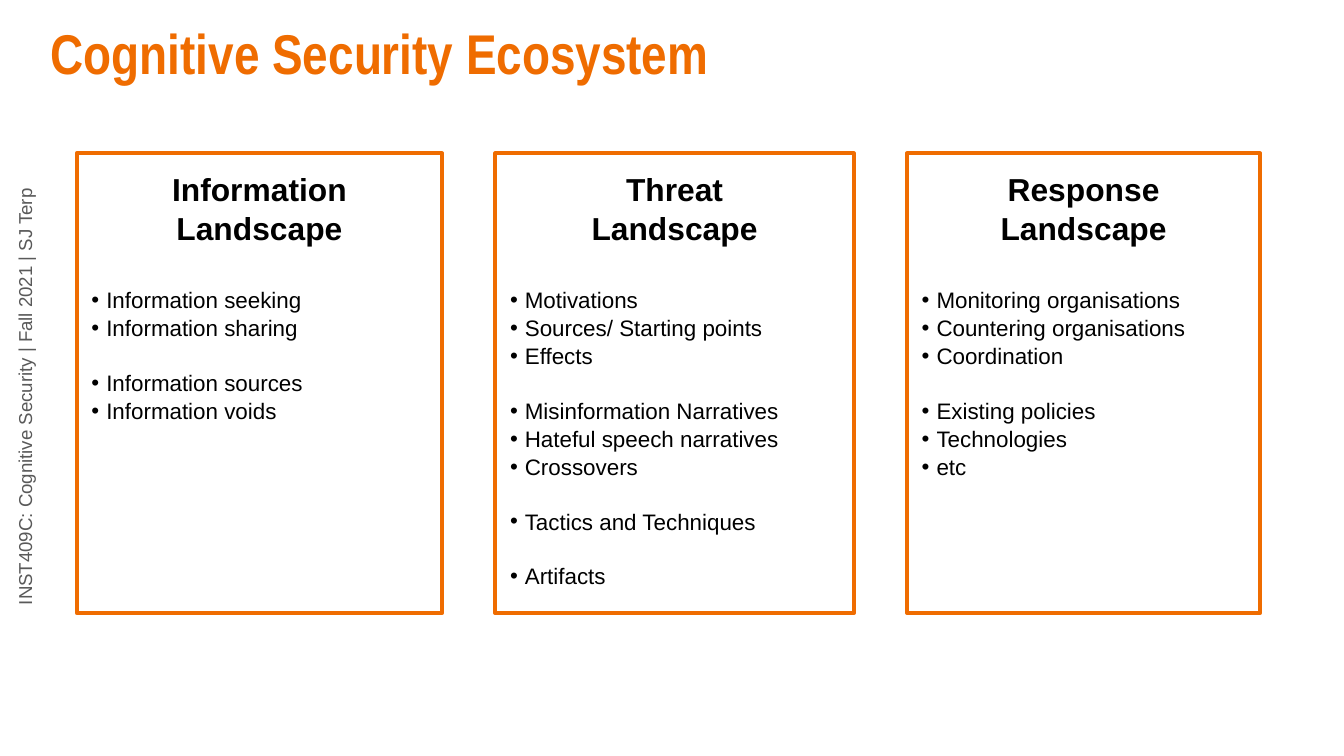
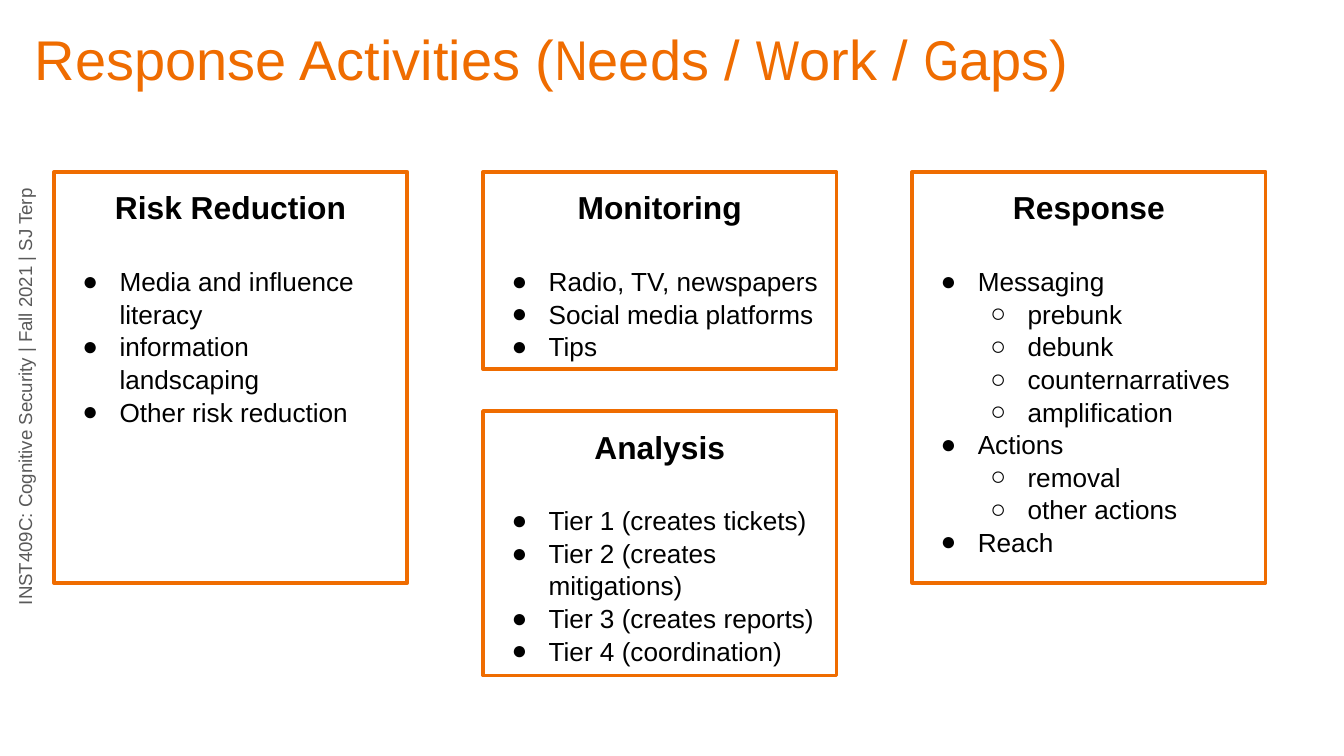
"""Builds two slides on the cognitive security ecosystem and its response activities."""
from dataclasses import dataclass

from lxml import etree
from pptx import Presentation
from pptx.dml.color import RGBColor
from pptx.enum.shapes import MSO_SHAPE
from pptx.enum.text import MSO_ANCHOR, MSO_AUTO_SIZE, PP_ALIGN
from pptx.oxml.ns import qn
from pptx.util import Cm, Pt

RECTANGLE = MSO_SHAPE.RECTANGLE
TOP, MIDDLE = MSO_ANCHOR.TOP, MSO_ANCHOR.MIDDLE
LEFT, CENTER = PP_ALIGN.LEFT, PP_ALIGN.CENTER
NO_AUTOFIT = MSO_AUTO_SIZE.NONE
TITLE_ONLY = 5


@dataclass(frozen=True)
class Theme:
    orange: str = "EF6C00"
    white: str = "FFFFFF"
    black: str = "000000"
    grey: str = "595959"
    body_font: str = "Arial"
    narrow_font: str = "Arial Narrow"
    title_size: float = 30
    heading_size: float = 17
    course_size: float = 10
    border: float = 2
    line_spacing: float = 1.04
    blank_line: float = 1.2


@dataclass(frozen=True)
class BulletStyle:
    size: float
    symbols: str
    indents: tuple
    hanging: float


COMPACT = BulletStyle(12, "•", (0.28,), 0.28)
OUTLINE = BulletStyle(14, "●○", (0.96, 1.9), 0.7)

COURSE = "INST409C: Cognitive Security | Fall 2021 | SJ Terp"

LANDSCAPES = [
    (6.91, "Information Landscape", [
        ["Information seeking", "Information sharing"],
        ["Information sources", "Information voids"]]),
    (6.78, "Threat\nLandscape", [
        ["Motivations", "Sources/ Starting points", "Effects"],
        ["Misinformation Narratives", "Hateful speech narratives", "Crossovers"],
        ["Tactics and Techniques"],
        ["Artifacts"]]),
    (6.68, "Response\nLandscape", [
        ["Monitoring organisations", "Countering organisations", "Coordination"],
        ["Existing policies", "Technologies", "etc"]]),
]

ACTIVITIES = [
    (0, 3.25, 7.77, "Risk Reduction", [
        "Media and influence literacy", "information landscaping",
        "Other risk reduction"]),
    (1, 3.25, 3.73, "Monitoring", [
        "Radio, TV, newspapers", "Social media platforms", "Tips"]),
    (1, 7.77, 5, "Analysis", [
        "Tier 1 (creates tickets)", "Tier 2 (creates mitigations)",
        "Tier 3 (creates reports)", "Tier 4 (coordination)"]),
    (2, 3.25, 7.77, "Response", [
        "Messaging", ["prebunk", "debunk", "counternarratives", "amplification"],
        "Actions", ["removal", "other actions"],
        "Reach"]),
]


def with_levels(items, level=0):
    """Yield each item with its depth in the nested list."""
    for item in items:
        if isinstance(item, list):
            yield from with_levels(item, level + 1)
        else:
            yield level, item


class Deck:
    """Holds the theme and the current slide, and draws each kind of element."""

    def __init__(self, theme):
        self.theme = theme
        self.presentation = Presentation()
        self.presentation.slide_width = Cm(25.4)
        self.presentation.slide_height = Cm(14.29)
        self.slide = None

    def add_slide(self):
        layout = self.presentation.slide_layouts[TITLE_ONLY]
        self.slide = self.presentation.slides.add_slide(layout)
        self.course_line()

    def style(self, paragraph, size, color, font=None, bold=False, align=LEFT):
        paragraph.alignment = align
        paragraph.font.name = font or self.theme.body_font
        paragraph.font.size = Pt(size)
        paragraph.font.bold = bold
        paragraph.font.color.rgb = RGBColor.from_string(color)

    def frame(self, shape, inset, anchor):
        frame = shape.text_frame
        frame.word_wrap = True
        frame.auto_size = NO_AUTOFIT
        frame.vertical_anchor = anchor
        frame.margin_left = frame.margin_right = frame.margin_top = Cm(inset)
        frame.margin_bottom = Cm(inset if anchor == MIDDLE else 0)
        return frame

    def course_line(self):
        course = self.slide.shapes.add_textbox(Cm(-4.06), Cm(6.68), Cm(9.07), Cm(0.94))
        course.rotation = 270
        paragraph = self.frame(course, 0.25, TOP).paragraphs[0]
        paragraph.text = COURSE
        self.style(paragraph, self.theme.course_size, self.theme.grey)

    def title(self, runs, left, top, width, height, font, bold=False):
        title = self.slide.shapes.title
        title.left, title.top = Cm(left), Cm(top)
        title.width, title.height = Cm(width), Cm(height)
        paragraph = self.frame(title, 0.1, MIDDLE).paragraphs[0]
        self.style(paragraph, self.theme.title_size, self.theme.orange, font, bold)
        for text, run_font in runs:
            run = paragraph.add_run()
            run.text = text
            if run_font != font:
                run.font.name = run_font

    def bullet(self, paragraph, level, bullets):
        paragraph.level = level
        properties = paragraph._p.get_or_add_pPr()
        properties.set("marL", str(Cm(bullets.indents[level])))
        properties.set("indent", str(-Cm(bullets.hanging)))
        color = etree.SubElement(properties, qn("a:buClr"))
        etree.SubElement(color, qn("a:srgbClr"), val=self.theme.black)
        etree.SubElement(properties, qn("a:buFont"), typeface=self.theme.body_font)
        etree.SubElement(properties, qn("a:buChar"), char=bullets.symbols[level])

    def card(self, left, top, width, height, heading, groups, bullets):
        theme = self.theme
        card = self.slide.shapes.add_shape(
            RECTANGLE, Cm(left), Cm(top), Cm(width), Cm(height))
        card.shadow.inherit = False
        card.fill.solid()
        card.fill.fore_color.rgb = RGBColor.from_string(theme.white)
        card.line.color.rgb = RGBColor.from_string(theme.orange)
        card.line.width = Pt(theme.border)
        frame = self.frame(card, 0.28, TOP)

        for number, line in enumerate(heading.split("\n")):
            paragraph = frame.add_paragraph() if number else frame.paragraphs[0]
            paragraph.text = line
            paragraph.line_spacing = theme.line_spacing
            self.style(paragraph, theme.heading_size, theme.black, bold=True, align=CENTER)

        gap = theme.heading_size * theme.blank_line
        for group in groups:
            for level, item in with_levels(group):
                paragraph = frame.add_paragraph()
                paragraph.text = item
                self.bullet(paragraph, level, bullets)
                paragraph.line_spacing = theme.line_spacing
                paragraph.space_before = Pt(gap)
                self.style(paragraph, bullets.size, theme.black)
                gap = 0
            gap = bullets.size * theme.blank_line


def ecosystem_slide(deck):
    """Draw the three landscapes side by side."""
    narrow = deck.theme.narrow_font
    deck.add_slide()
    deck.title([("Cognitive Security Ecosystem", narrow)],
               0.86, 0, 23.67, 1.96, narrow, bold=True)
    left, gap = 1.45, 1
    for width, heading, groups in LANDSCAPES:
        deck.card(left, 2.9, width, 8.69, heading, groups, COMPACT)
        left += width + gap


def activities_slide(deck):
    """Draw the response activities in three columns."""
    body, narrow = deck.theme.body_font, deck.theme.narrow_font
    deck.add_slide()
    deck.title([("Response Activities (", body), ("N", narrow), ("eeds / ", body),
                ("W", narrow), ("ork / ", body), ("G", narrow), ("aps)", body)],
               0.56, 0.2, 24.13, 1.78, body)
    for column, top, height, heading, items in ACTIVITIES:
        deck.card(1.02 + 8.11 * column, top, 6.68, height, heading, [items], OUTLINE)


def main():
    """Build both slides and save them."""
    deck = Deck(Theme())
    ecosystem_slide(deck)
    activities_slide(deck)
    deck.presentation.save("out.pptx")


if __name__ == "__main__":
    main()
